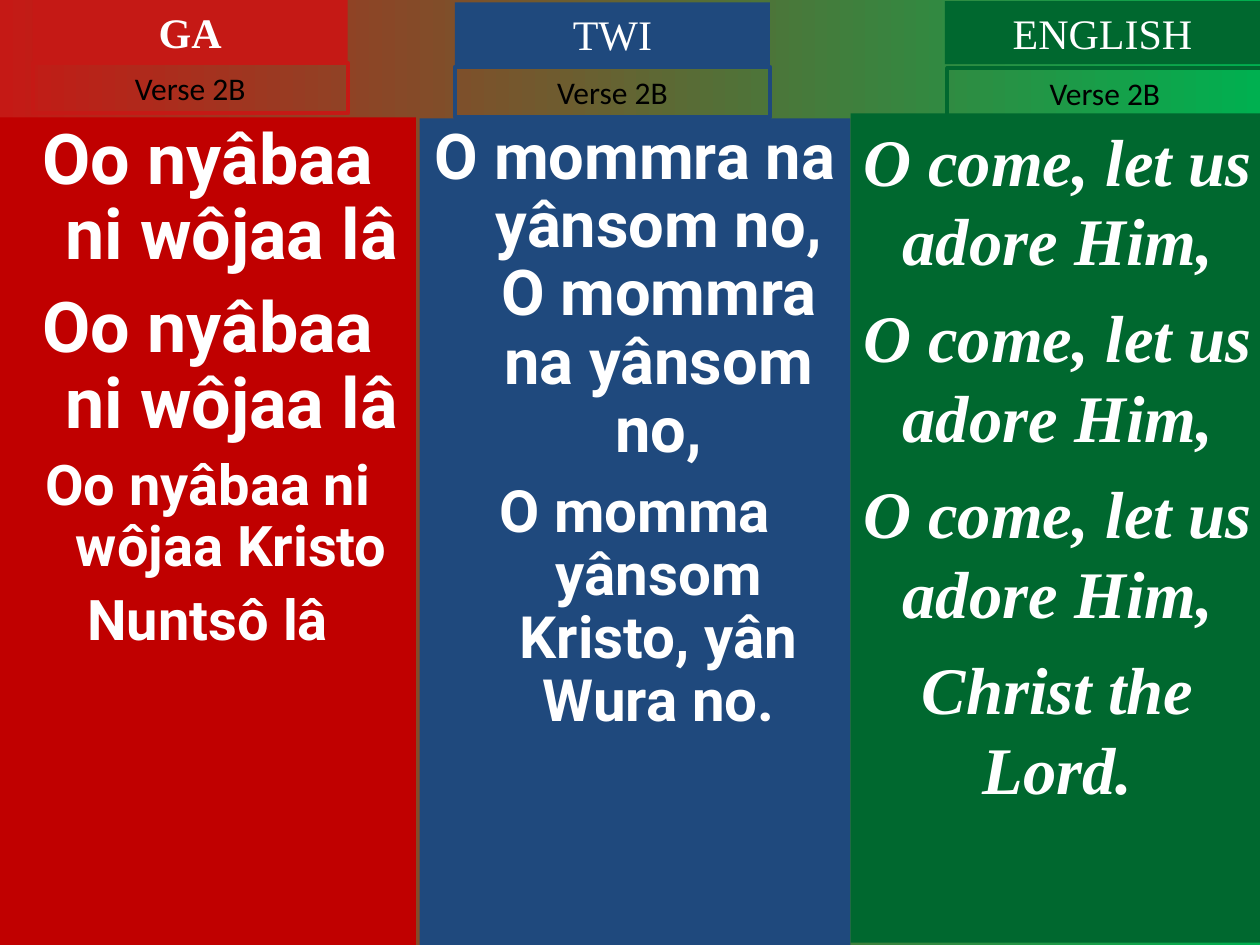
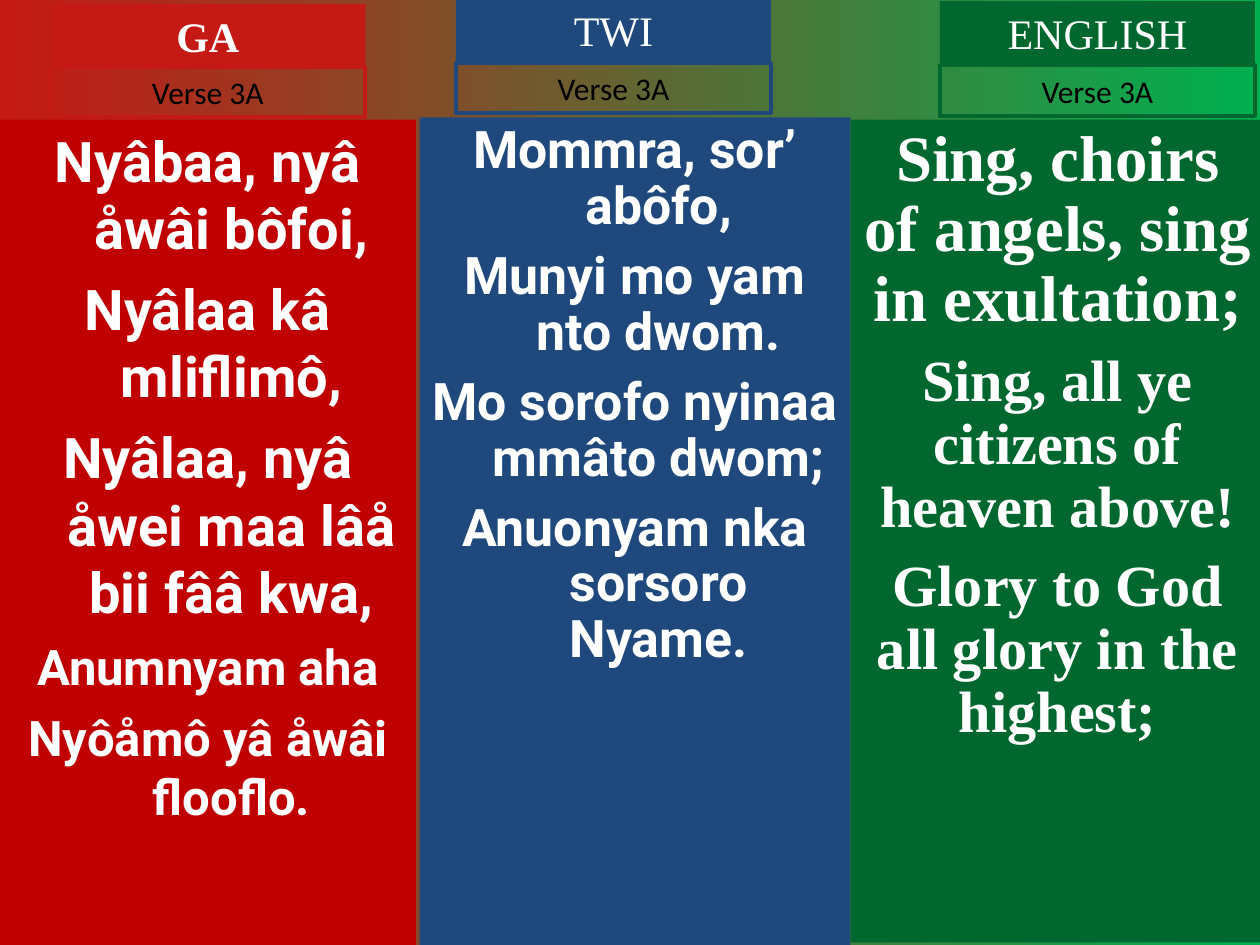
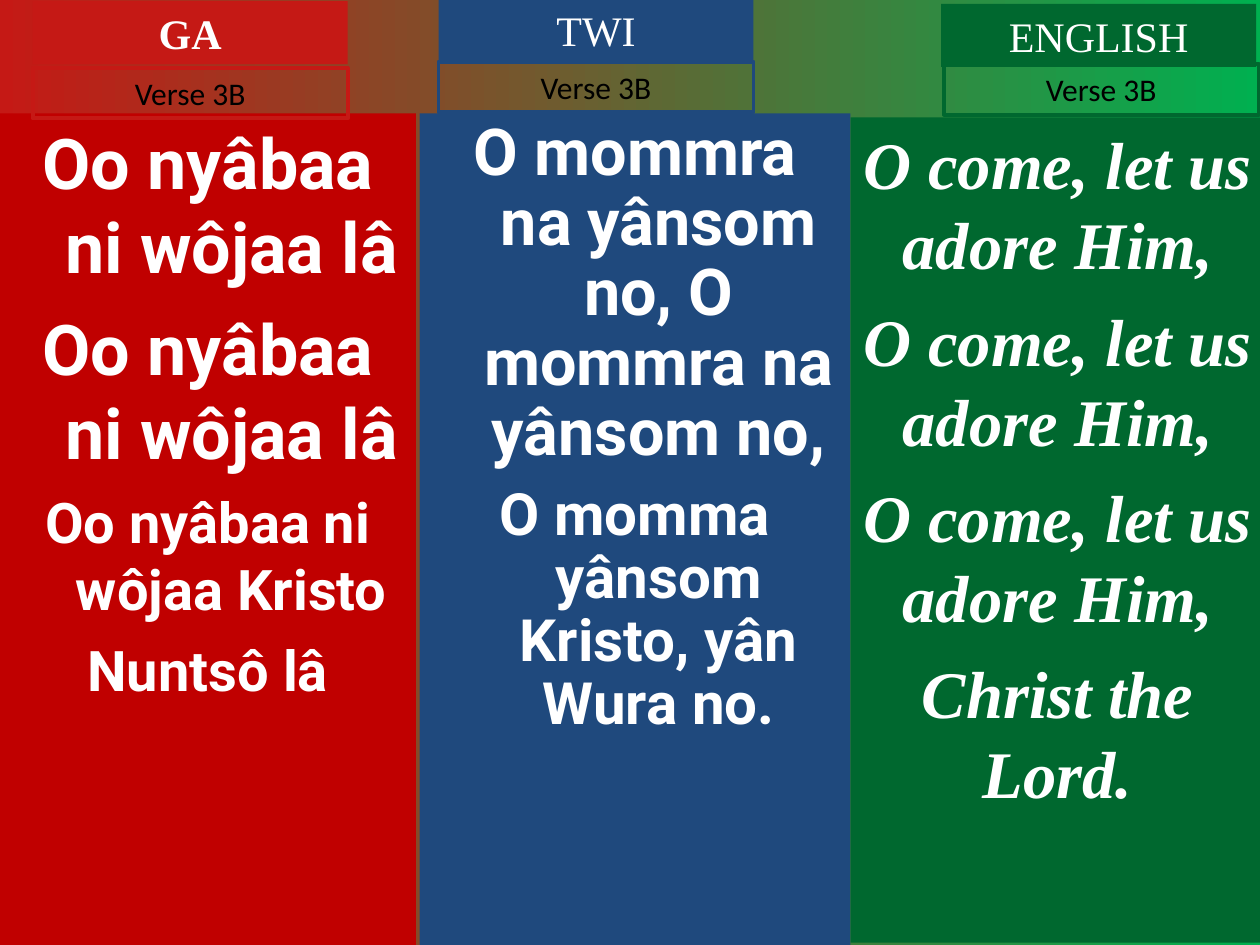
from dataclasses import dataclass

from pptx import Presentation
from pptx.dml.color import RGBColor
from pptx.enum.shapes import MSO_SHAPE
from pptx.enum.text import MSO_ANCHOR, MSO_AUTO_SIZE, PP_ALIGN
from pptx.util import Pt

RECTANGLE = MSO_SHAPE.RECTANGLE
TOP = MSO_ANCHOR.TOP
CENTER = PP_ALIGN.CENTER
FIXED, GROW = MSO_AUTO_SIZE.NONE, MSO_AUTO_SIZE.SHAPE_TO_FIT_TEXT

PAGE_WIDTH, PAGE_HEIGHT = 720, 540
TWO_CONTENT = 3
TAG_WIDTH, LANGUAGE_HEIGHT, VERSE_HEIGHT = 180, 36, 28.8
HANGING = 27
RED, GREEN, WHITE, BLACK = "C51915", "00B050", "FFFFFF", "000000"
SERIF, SANS, LYRIC = "Times New Roman", "Calibri", "Roboto"


@dataclass
class Language:
    name: str
    box: tuple  # left, top, width, height of the column
    panel_color: str
    tag_color: str
    lyric_font: str
    hanging: float = 0
    placeholder: int = 0
    bold_tag: bool = False


@dataclass
class Column:
    panel_top: float
    language_tag: tuple  # left and top within the column
    verse_tag: tuple
    lines: list  # text, size, space before
    spacing: float = 1.0
    italic: bool = False


LANGUAGES = [
    Language("GA", (0, 0, 237.6, 540), "C00000", RED, LYRIC, HANGING, 1, True),
    Language("TWI", (239.8, 0, 246.2, 540), "1F497D", "1F497D", LYRIC, HANGING, 2),
    Language("ENGLISH", (486, 0, 236.9, 538.6), "00682F", "00682F", SERIF),
]

# Refrains sung after each verse
GA_REFRAIN = [("Oo nyâbaa ni wôjaa lâ", 40, 10)] * 2 + [
    ("Oo nyâbaa ni wôjaa Kristo", 32, 8),
    ("Nuntsô lâ", 32, 8),
]
ENGLISH_REFRAIN = [("O come, let us adore Him,", 38, 9.5)] * 3 + [
    ("Christ the Lord.", 38, 9.5),
]


def twi_refrain(first_size):
    return [
        ("O mommra na yânsom no, O mommra na yânsom no,", first_size, 10),
        ("O momma yânsom Kristo, yân Wura no.", 33.3, 9),
    ]


VERSES = [
    ("Verse 2B", [
        Column(67, (18.7, 0), (18.7, 36), GA_REFRAIN, 0.9),
        Column(67.7, (20.2, 1.4), (20.2, 38.2), twi_refrain(36.1), 0.9),
        Column(64.8, (54, 0.7), (55.4, 38.9), ENGLISH_REFRAIN, italic=True),
    ]),
    ("Verse 3A", [
        Column(68.4, (28.8, 2.2), (28.8, 38.2), [
            ("Nyâbaa, nyâ åwâi bôfoi,", 32, 8),
            ("Nyâlaa kâ mliflimô,", 32, 8),
            ("Nyâlaa, nyâ åwei maa lâå bii fââ kwa,", 32, 8),
            ("Anumnyam aha", 28, 7),
            ("Nyôåmô yâ åwâi flooflo.", 28, 7),
        ]),
        Column(67, (20.8, -0.7), (20.8, 36), [
            ("Mommra, sor’ abôfo,", 29.6, 8),
            ("Munyi mo yam nto dwom.", 29.6, 8),
            ("Mo sorofo nyinaa mmâto dwom;", 29.6, 8),
            ("Anuonyam nka sorsoro Nyame.", 29.6, 8),
        ], 0.9),
        Column(68.4, (51.1, 0.7), (51.1, 37.4), [
            ("Sing, choirs of angels, sing in exultation;", 37, 10),
            ("Sing, all ye citizens of heaven above!", 33.3, 9),
            ("Glory to God all glory in the highest;", 33.3, 9),
        ], 0.9),
    ]),
    ("Verse 3B", [
        Column(64.8, (18.7, 0.7), (18.7, 38.9), GA_REFRAIN),
        Column(64.8, (10.8, -0.7), (10.8, 35.3), twi_refrain(37), 0.9),
        Column(67, (51.8, 2.2), (53.3, 36.7), ENGLISH_REFRAIN, italic=True),
    ]),
]


def color(hex_value):
    return RGBColor.from_string(hex_value)


def set_values(target, values):
    for name, value in values.items():
        setattr(target, name, value)


def style_font(font, hex_value, **values):
    set_values(font, values)
    font.color.rgb = color(hex_value)


def style_box(shape, box, fill=None, line=None, auto_size=FIXED):
    left, top, width, height = map(Pt, box)
    set_values(shape, {"left": left, "top": top, "width": width, "height": height})
    if fill:
        shape.fill.solid()
        shape.fill.fore_color.rgb = color(fill)
    else:
        shape.fill.background()
    if line:
        shape.line.color.rgb = color(line)
        shape.line.width = Pt(2.25)
    else:
        shape.line.fill.background()
    set_values(shape.text_frame, {
        "word_wrap": True, "auto_size": auto_size, "vertical_anchor": TOP,
        "margin_left": Pt(7.2), "margin_right": Pt(7.2),
        "margin_top": Pt(3.6), "margin_bottom": Pt(3.6),
    })


def add_rectangle(page):
    shape = page.shapes.add_shape(RECTANGLE, 0, 0, 0, 0)
    shape.shadow.inherit = False
    return shape


def add_tag(page, box, text, text_color, fill=None, line=None, **font_values):
    tag = add_rectangle(page)
    style_box(tag, box, fill, line, GROW)
    paragraph = tag.text_frame.paragraphs[0]
    paragraph.text = text
    paragraph.alignment = CENTER
    style_font(paragraph.font, text_color, **font_values)


def indent_without_bullet(paragraph, hanging):
    properties = paragraph._p.get_or_add_pPr()
    properties.set("marL", str(Pt(hanging)))
    properties.set("indent", str(-Pt(hanging)))
    bullet_tag = "{http://schemas.openxmlformats.org/drawingml/2006/main}buNone"
    properties.append(properties.makeelement(bullet_tag, {}))


def fill_lyrics(frame, language, column):
    for index, (text, size, space) in enumerate(column.lines):
        paragraph = frame.add_paragraph() if index else frame.paragraphs[0]
        paragraph.text = text
        indent_without_bullet(paragraph, language.hanging)
        set_values(paragraph, {
            "alignment": CENTER, "line_spacing": column.spacing,
            "space_before": Pt(space if index else 0),
        })
        style_font(paragraph.font, WHITE, name=language.lyric_font,
                   size=Pt(size), bold=True, italic=column.italic)


def add_column(page, language, column, verse):
    left, top, width, height = language.box

    # Lyric panel
    if language.placeholder:
        panel = page.placeholders[language.placeholder]
    else:
        panel = add_rectangle(page)
    panel_box = (left, top + column.panel_top, width, height - column.panel_top)
    style_box(panel, panel_box, language.panel_color)
    fill_lyrics(panel.text_frame, language, column)

    # Language and verse tags
    offset_x, offset_y = column.language_tag
    add_tag(page, (left + offset_x, top + offset_y, TAG_WIDTH, LANGUAGE_HEIGHT),
            language.name, WHITE, fill=language.tag_color,
            name=SERIF, size=Pt(24), bold=language.bold_tag)
    offset_x, offset_y = column.verse_tag
    add_tag(page, (left + offset_x, top + offset_y, TAG_WIDTH, VERSE_HEIGHT),
            verse, BLACK, line=language.tag_color, name=SANS, size=Pt(18))


def paint_background(master):
    fill = master.background.fill
    fill.gradient()
    fill.gradient_angle = 0
    for stop, hex_value in zip(fill.gradient_stops, (RED, GREEN)):
        stop.color.rgb = color(hex_value)


def add_verse_page(deck, verse, columns):
    page = deck.slides.add_slide(deck.slide_layouts[TWO_CONTENT])
    for language, column in zip(LANGUAGES, columns):
        add_column(page, language, column, verse)
    # The columns carry their own headings
    title = page.shapes.title.element
    title.getparent().remove(title)


def main():
    deck = Presentation()
    deck.slide_width, deck.slide_height = Pt(PAGE_WIDTH), Pt(PAGE_HEIGHT)
    paint_background(deck.slide_master)
    for verse, columns in VERSES:
        add_verse_page(deck, verse, columns)
    deck.save("out.pptx")


if __name__ == "__main__":
    main()
